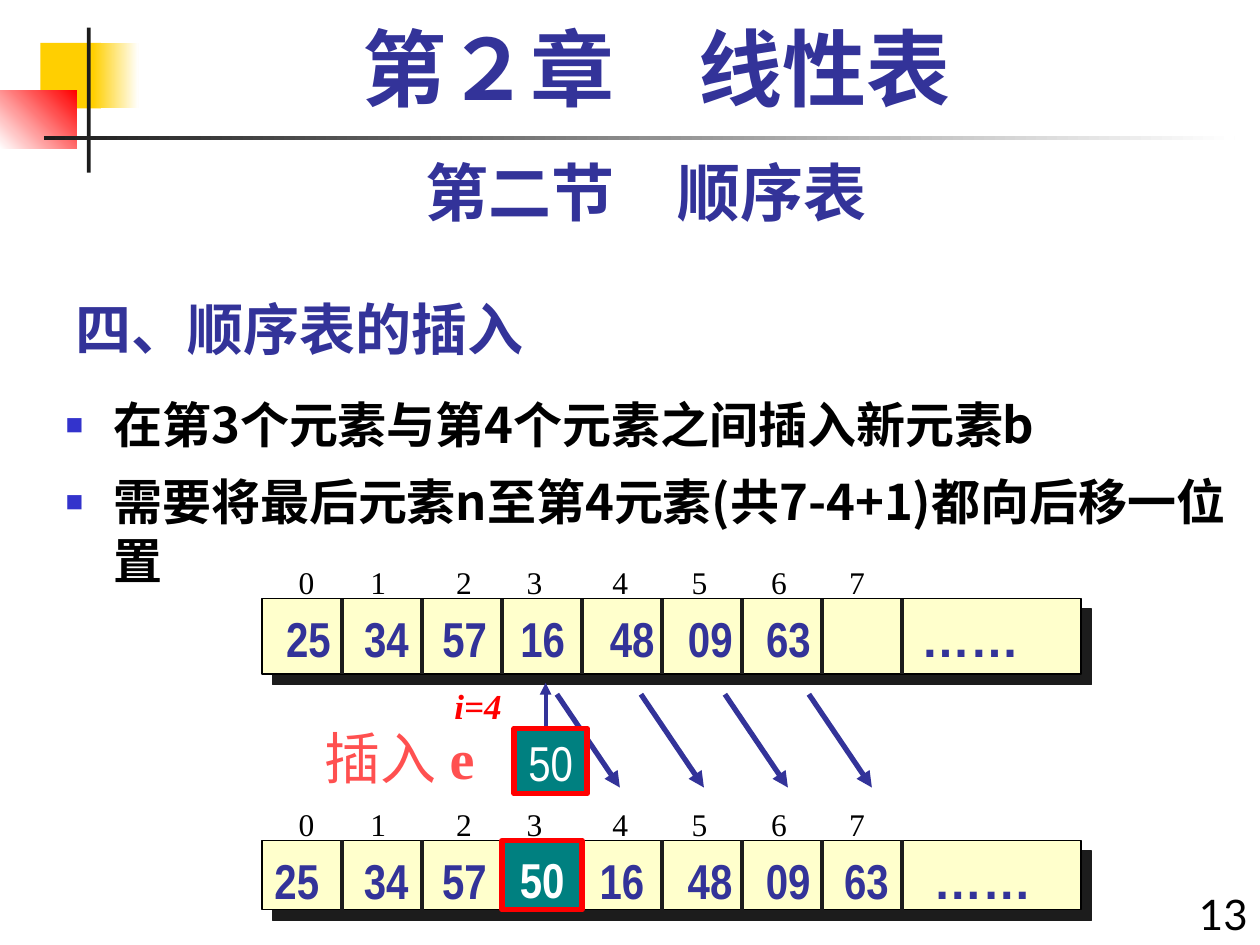
import pptx
import pptx.util
import pptx.dml.color
import pptx.enum.shapes
import pptx.enum.text
import pptx.oxml
import pptx.oxml.ns
from pptx.util import Inches

COLORS = {
    "gold": "FFCF01", "white": "FFFFFF", "red": "FF0000", "ink": "1C1C1C",
    "black": "000000", "navy": "333399", "bullet": "3333CC", "cream": "FFFFCC",
    "teal": "008080", "coral": "FF5050",
}
HAN_FONT = "Noto Sans CJK SC"
ALIGN = pptx.enum.text.PP_ALIGN
CELL_PITCH = 0.635
INDEX_STOPS = [0.19, 0.76, 1.44, 2.00, 2.68, 3.31, 3.94, 4.56]


def rgb(name):
    return pptx.dml.color.RGBColor.from_string(COLORS[name])


def add_xml(parent, xml):
    declaration = pptx.oxml.ns.nsdecls("a")
    element = pptx.oxml.parse_xml(xml.replace("/>", f" {declaration}/>", 1)
                                  if xml.endswith("/>") and xml.count("<") == 1
                                  else xml.replace(">", f" {declaration}>", 1))
    parent.append(element)
    return element


def format_runs(paragraph, size, font, color, bold=False, italic=False):
    for run in paragraph.runs:
        run.font.size = pptx.util.Pt(size)
        run.font.name = font
        run.font.bold = bold
        run.font.italic = italic
        run.font.color.rgb = rgb(color)
        add_xml(run.font._element, f'<a:ea typeface="{HAN_FONT}"/>')


def add_text(slide, box, text, size, font, color, align=ALIGN.LEFT, wrap=True, **style):
    shape = slide.shapes.add_textbox(*map(Inches, box))
    shape.text_frame.word_wrap = wrap
    shape.text_frame.text = text
    paragraph = shape.text_frame.paragraphs[0]
    paragraph.alignment = align
    format_runs(paragraph, size, font, color, **style)
    return shape


def add_tabbed_text(slide, box, values, stops, *style, **options):
    """One line of values, each starting at its own tab stop."""
    shape = add_text(slide, box, "\t".join(values), *style, **options)
    shape.text_frame.margin_left = Inches(0.1 + stops[0])
    tabs = "".join(f'<a:tab pos="{Inches(stop - stops[0])}" algn="l"/>' for stop in stops[1:])
    properties = shape.text_frame.paragraphs[0]._p.get_or_add_pPr()
    add_xml(properties, f"<a:tabLst>{tabs}</a:tabLst>")
    return shape


def add_box(slide, box, fill, line=None, width=0.75):
    shape = slide.shapes.add_shape(pptx.enum.shapes.MSO_SHAPE.RECTANGLE, *map(Inches, box))
    shape.shadow.inherit = False
    if isinstance(fill, tuple):
        start, end, angle = fill
        shape.fill.gradient()
        shape.fill.gradient_angle = angle
        for stop, color in zip(shape.fill.gradient_stops, (start, end)):
            stop.color.rgb = rgb(color)
    else:
        shape.fill.solid()
        shape.fill.fore_color.rgb = rgb(fill)
    if line:
        shape.line.color.rgb = rgb(line)
        shape.line.width = pptx.util.Pt(width)
    else:
        shape.line.fill.background()
    return shape


def add_line(slide, start, end, color, width, arrow=False):
    line = slide.shapes.add_connector(
        pptx.enum.shapes.MSO_CONNECTOR.STRAIGHT, *map(Inches, (*start, *end)))
    line.line.color.rgb = rgb(color)
    line.line.width = pptx.util.Pt(width)
    if arrow:
        add_xml(line.line._get_or_add_ln(), '<a:tailEnd type="triangle"/>')
    add_xml(line._element.spPr, "<a:effectLst/>")


def add_decoration(slide):
    for box, fill in (
        ((0.32, 0.34, 0.48, 0.52), "gold"),
        ((0.74, 0.34, 0.36, 0.52), ("gold", "white", 0)),
        ((0, 0.72, 0.61, 0.46), ("white", "red", 45)),
        ((0.69, 0.22, 0.03, 1.15), "ink"),
        ((0.35, 1.08, 9.45, 0.03), ("ink", "white", 0)),
    ):
        add_box(slide, box, fill)


def place(shape, box):
    shape.left, shape.top, shape.width, shape.height = map(Inches, box)
    shape.text_frame.auto_size = pptx.enum.text.MSO_AUTO_SIZE.NONE


def fill_title(title, box):
    place(title, box)
    title.text_frame.text = "四、顺序表的插入"
    title.text_frame.vertical_anchor = pptx.enum.text.MSO_ANCHOR.BOTTOM
    paragraph = title.text_frame.paragraphs[0]
    paragraph.alignment = ALIGN.LEFT
    format_runs(paragraph, 32, HAN_FONT, "navy", bold=True)


def fill_body(body, box):
    place(body, box)
    body.text_frame.text = ("在第3个元素与第4个元素之间插入新元素b\n"
                            "需要将最后元素n至第4元素(共7-4+1)都向后移一位置")
    for paragraph in body.text_frame.paragraphs:
        paragraph.space_before = pptx.util.Pt(10.5)
        format_runs(paragraph, 28, HAN_FONT, "black", bold=True)
        properties = paragraph._p.get_or_add_pPr()
        properties.set("marL", str(Inches(0.38)))
        properties.set("indent", str(-Inches(0.38)))
        add_xml(properties, f'<a:buClr><a:srgbClr val="{COLORS["bullet"]}"/></a:buClr>')
        add_xml(properties, '<a:buSzPct val="60000"/>')
        add_xml(properties, '<a:buFont typeface="Arial"/>')
        add_xml(properties, '<a:buChar char="■"/>')


def add_array(slide, box, values, stops):
    """Array strip with a hard shadow, index labels above and eight dividers."""
    left, top, width, height = box
    strip = add_box(slide, box, "cream", "black")
    effects = strip._element.spPr.find(pptx.oxml.ns.qn("a:effectLst"))
    add_xml(effects, f'<a:outerShdw blurRad="0" dist="{pptx.util.Pt(8.5)}" dir="2700000" '
                     f'algn="tl" rotWithShape="0"><a:srgbClr val="{COLORS["ink"]}"/></a:outerShdw>')
    row = add_tabbed_text(slide, (left, top + 0.03, 6.41, 0.57), values, stops,
                          28, "Arial Narrow", "navy", bold=True)
    dots = row.text_frame.paragraphs[0].add_run()
    dots.text = "\t……"
    dots.font.size, dots.font.name, dots.font.bold = pptx.util.Pt(28), "Arial", True
    dots.font.color.rgb = rgb("navy")
    for number in range(1, 9):
        x = left + number * CELL_PITCH
        add_line(slide, (x, top), (x, top + height), "ink", 2.25)
    add_tabbed_text(slide, (left, top - 0.33, 5.63, 0.4), [str(i) for i in range(8)],
                    INDEX_STOPS, 18, "Times New Roman", "black")


def add_new_element(slide, box, bold, text_drop):
    left, top, width, height = box
    add_box(slide, box, "teal", "red", 3)
    label = add_text(slide, (left, top + text_drop, width, height), "50", 28,
                     "Arial Narrow", "white", ALIGN.CENTER, bold=bold)
    label.text_frame.margin_top = Inches(0.05 if bold else 0)


def add_insertion(slide, box):
    """Shift arrows, and the new element pointing at its place."""
    left, top, width, height = box
    for number in range(4):
        x = left + 1.94 + number * 2 / 3
        add_line(slide, (x, top + 0.13), (x + 0.5, top + 0.87), "navy", 3, arrow=True)
    add_line(slide, (left + 1.85, top + 0.45), (left + 1.85, top + 0.04), "navy", 2.25, arrow=True)
    add_new_element(slide, (left + 1.6, top + 0.4, 0.58, 0.52), False, 0.03)
    operation = add_text(slide, (left, top + 0.31, 1.61, 0.64), "插入 ", 32,
                         "Times New Roman", "coral", wrap=False)
    paragraph = operation.text_frame.paragraphs[0]
    paragraph.add_run().text = "e"
    format_runs(paragraph, 32, "Times New Roman", "coral")
    paragraph.runs[1].font.bold = True
    add_text(slide, (left + 0.27, top, 1.33, 0.44), "i=4", 20, "Times New Roman", "red",
             ALIGN.RIGHT, bold=True, italic=True)


def main():
    presentation = pptx.Presentation()
    presentation.slide_width, presentation.slide_height = Inches(10), Inches(7.5)
    slide = presentation.slides.add_slide(presentation.slide_layouts[1])

    # Headings and list
    add_decoration(slide)
    fill_title(slide.shapes.title, (0.5, 2.17, 6.25, 0.75))
    fill_body(slide.placeholders[1], (0.42, 3.08, 9.58, 1.67))
    chapter = add_text(slide, (0.67, 0.17, 9.08, 0.83), "第２章\u3000线性表".replace("\u3000", "　"), 48,
                       "Times New Roman", "navy", ALIGN.CENTER, bold=True)
    chapter.text_frame.paragraphs[0].line_spacing = 0.9
    add_text(slide, (0.5, 1.17, 9.25, 0.7), "第二节　顺序表", 36, "Lato", "navy",
             ALIGN.CENTER, bold=True)
    add_text(slide, (9.2, 7, 0.8, 0.5), "13", 24, "Lato", "black", ALIGN.RIGHT)

    # Array before and after the insertion
    add_array(slide, (2.08, 4.75, 6.5, 0.6), ["25", "34", "57", "16", "48", "09", "63"],
              [0.09, 0.71, 1.33, 1.95, 2.66, 3.28, 3.9, 5.13])
    add_array(slide, (2.08, 6.67, 6.5, 0.55), ["25", "34", "57", "16", "48", "09", "63"],
              [0, 0.71, 1.33, 2.58, 3.28, 3.9, 4.52, 5.23])
    add_new_element(slide, (2.08 + 3 * CELL_PITCH, 6.67, CELL_PITCH, 0.55), True, 0.02)
    add_insertion(slide, (2.48, 5.38, 4.44, 0.95))
    presentation.save("out.pptx")


if __name__ == "__main__":
    main()
